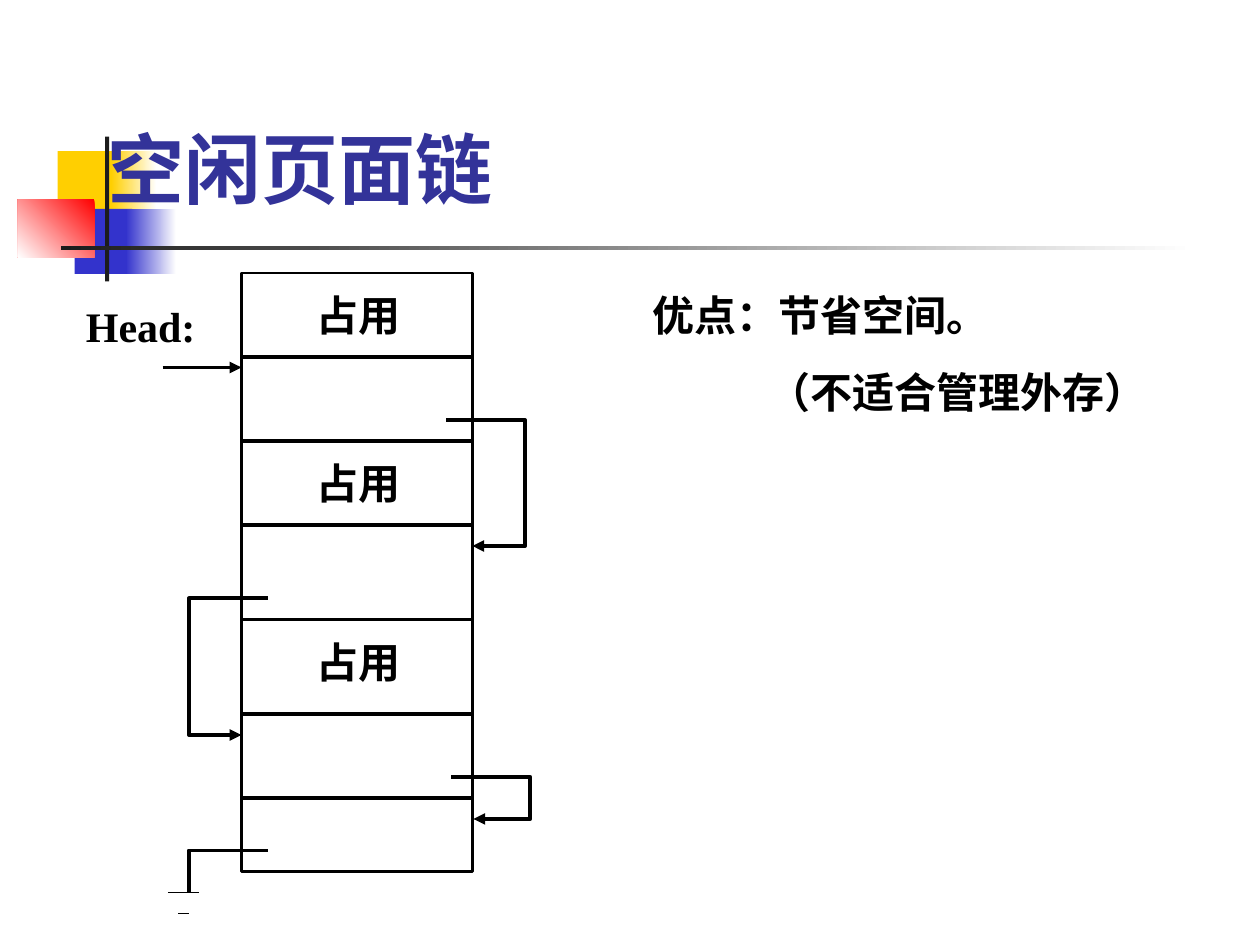
from lxml import etree
from pptx import Presentation, util as u
from pptx.dml.color import RGBColor
from pptx.enum import shapes, text
from pptx.oxml import ns

WHITE = RGBColor(0xFF, 0xFF, 0xFF)
BLACK = RGBColor(0, 0, 0)
GOLD = RGBColor(0xFF, 0xCF, 0x01)
BLUE = RGBColor(0x33, 0x33, 0xCC)
RED = RGBColor(0xFF, 0, 0)
DARK = RGBColor(0x1C, 0x1C, 0x1C)
NAVY = RGBColor(0x33, 0x33, 0x99)

COLS, ROWS = 120, 90
UNIT = u.Inches(10) / COLS


def grid(*vals):
    return [round(v * UNIT) for v in vals]


def rect(slide, x, y, w, h, fill, end=None, angle=180):
    box = slide.shapes.add_shape(shapes.MSO_SHAPE.RECTANGLE, *grid(x, y, w, h))
    box.shadow.inherit = False
    box.line.fill.background()
    if end is None:
        box.fill.solid()
        box.fill.fore_color.rgb = fill
    else:
        box.fill.gradient()
        box.fill.gradient_angle = angle
        for stop, tone in zip(box.fill.gradient_stops, (fill, end)):
            stop.color.rgb = tone
    return box


def ink(item, width, arrow):
    item.line.color.rgb = BLACK
    item.line.width = u.Pt(width)
    if arrow:
        ln = item.line._get_or_add_ln()
        etree.SubElement(ln, ns.qn("a:tailEnd"), type="triangle")


def line(slide, x1, y1, x2, y2, width=2.25, arrow=False):
    item = slide.shapes.add_connector(
        shapes.MSO_CONNECTOR.STRAIGHT, *grid(x1, y1, x2, y2))
    ink(item, width, arrow)
    etree.SubElement(item._element.spPr, ns.qn("a:effectLst"))


def route(slide, x, y, points, arrow=True):
    spots = [tuple(grid(x + a, y + b)) for a, b in points]
    pen = slide.shapes.build_freeform(*spots[0])
    pen.add_line_segments(spots[1:], close=False)
    item = pen.convert_to_shape()
    item.shadow.inherit = False
    item.fill.background()
    ink(item, 2.25, arrow)


def write(box, lines, size=24, font="Times New Roman", tone=BLACK):
    frame = box.text_frame
    frame.word_wrap = True
    frame.auto_size = text.MSO_AUTO_SIZE.NONE
    frame.vertical_anchor = text.MSO_ANCHOR.TOP
    for i, words in enumerate(lines):
        para = frame.add_paragraph() if i else frame.paragraphs[0]
        para.alignment = text.PP_ALIGN.LEFT
        para.space_before = u.Pt(15 if i else 0)
        run = para.add_run()
        run.text = words
        run.font.size = u.Pt(size)
        run.font.name = font
        run.font.bold = True
        run.font.color.rgb = tone


def note(slide, x, y, w, h, lines):
    box = slide.shapes.add_textbox(*grid(x, y, w, h))
    write(box, lines)
    return box


def motif(slide, x, y):
    rect(slide, x + 3.8, y + 1.4, 5.8, 6.2, GOLD)
    rect(slide, x + 8.9, y + 1.4, 4.3, 6.2, WHITE, GOLD)
    rect(slide, x + 5.4, y + 6.9, 5.5, 6.2, BLUE)
    rect(slide, x + 10.3, y + 6.9, 4.8, 6.2, WHITE, BLUE)
    rect(slide, x, y + 6, 7.3, 5.5, RED, WHITE, 225)
    rect(slide, x + 8.3, y, 0.4, 13.8, DARK)
    rect(slide, x + 4.1, y + 10.4, 108, 0.4, WHITE, DARK)


def heading(slide, x, y, w, h):
    title = slide.shapes.title
    title.left, title.top, title.width, title.height = grid(x, y, w, h)
    write(title, ["空闲页面链"], 44, "Cabin", NAVY)
    title.text_frame.vertical_anchor = text.MSO_ANCHOR.BOTTOM
    tree = slide.shapes._spTree
    tree.remove(title._element)
    tree.append(title._element)


def pages(slide, x, y, w, h):
    frame = rect(slide, x, y, w, h, WHITE)
    ink(frame, 1.25, False)
    for row in (8, 16, 24, 33, 42, 50):
        line(slide, x, y + row, x + w, y + row)
    for row in (1, 17, 34):
        write(rect(slide, x + w / 2 - 5, y + row, w / 2, 6, WHITE), ["占用"])


def chain(slide, x, y, w):
    for start, bend, end, top, low in (
            (w - 2.5, w + 5, w, 14, 26),
            (2.5, -5, 0, 31, 44),
            (w - 2, w + 5.5, w + 0.1, 48, 52)):
        route(slide, x, y, [(start, top), (bend, top), (bend, low), (end, low)])
    line(slide, x - 7.5, y + 9, x, y + 9, arrow=True)
    note(slide, x - 16, y + 2, 13, 6, ["Head:"])


def ground(slide, x, y):
    route(slide, x, y, [(7.5, 0), (0, 0), (0, 4)], arrow=False)
    line(slide, x - 2, y + 4, x + 1, y + 4, 0.75)
    line(slide, x - 1, y + 6, x, y + 6, 0.75)


def merits(slide, x, y, w, h):
    box = note(slide, x, y, w, h, ["优点：节省空间。", "（不适合管理外存）"])
    props = box.text_frame.paragraphs[1]._p.get_or_add_pPr()
    props.set("marL", str(grid(11)[0]))


def main():
    deck = Presentation()
    deck.slide_width, deck.slide_height = grid(COLS, ROWS)
    slide = deck.slides.add_slide(deck.slide_layouts[5])
    motif(slide, 1.7, 13)
    heading(slide, 9, 6, 102, 15)
    pages(slide, 23, 26, 22, 57)
    chain(slide, 23, 26, 22)
    ground(slide, 18, 81)
    merits(slide, 61, 27, 52, 13.3)
    deck.save("out.pptx")


if __name__ == "__main__":
    main()
